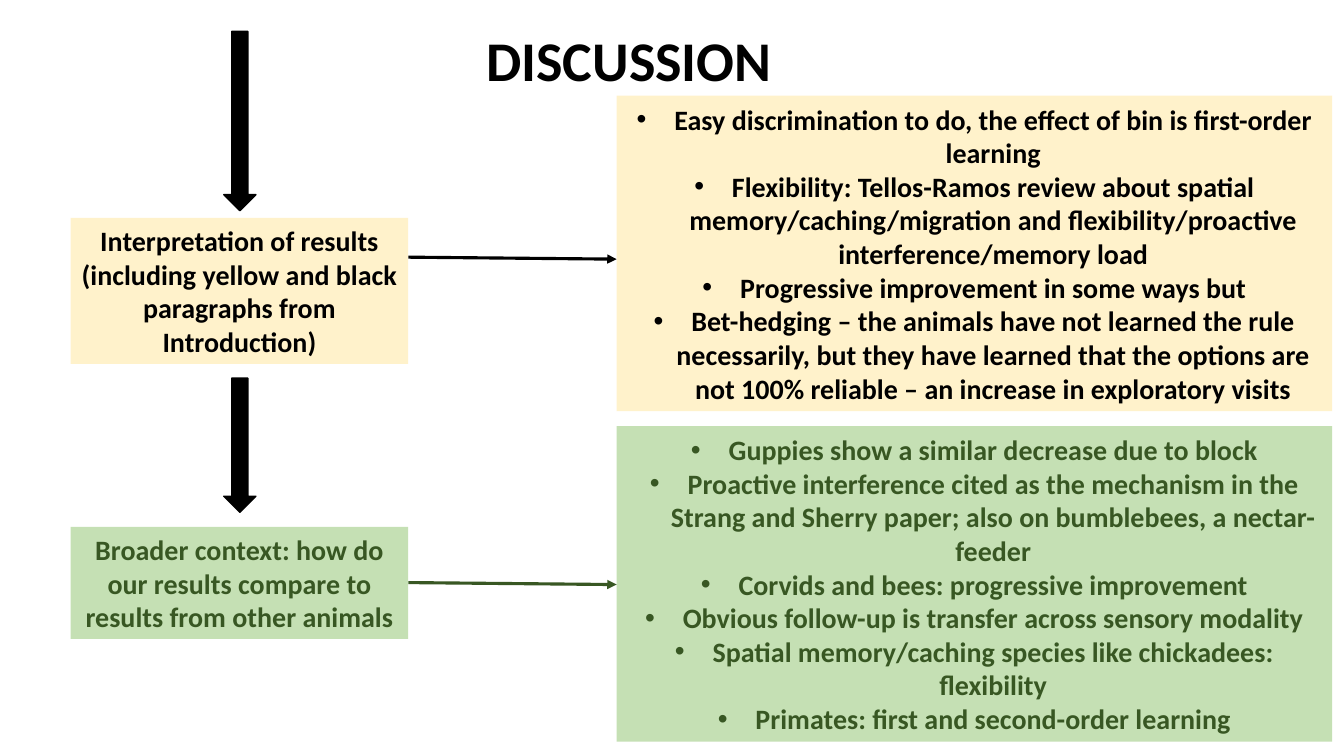
from lxml.etree import SubElement
from pptx import Presentation
from pptx.dml.color import RGBColor
from pptx.enum.shapes import MSO_CONNECTOR as Connector, MSO_SHAPE as Shape
from pptx.enum.text import MSO_ANCHOR as Anchor, PP_ALIGN as Align
from pptx.oxml.ns import qn
from pptx.util import Cm, Pt

BLACK = RGBColor(0x00, 0x00, 0x00)
YELLOW = RGBColor(0xFF, 0xE6, 0x99)
LIGHT_GREEN = RGBColor(0xC5, 0xE0, 0xB4)
DARK_GREEN = RGBColor(0x38, 0x57, 0x23)

TOPIC_LEFT, TOPIC_WIDTH = 1.78, 8.51
DETAIL_LEFT, DETAIL_WIDTH, DETAIL_HEIGHT = 15.54, 18.03, 7.95
BULLET_INDENT = 0.95

INTERPRETATION = "Interpretation of results (including yellow and black paragraphs from Introduction)"
INTERPRETATION_POINTS = [
    "Easy discrimination to do, the effect of bin is first-order learning",
    "Flexibility: Tellos-Ramos review about spatial memory/caching/migration "
    "and flexibility/proactive interference/memory load",
    "Progressive improvement in some ways but",
    "Bet-hedging – the animals have not learned the rule necessarily, but they have "
    "learned that the options are not 100% reliable – an increase in exploratory visits",
]
CONTEXT = "Broader context: how do our results compare to results from other animals"
CONTEXT_POINTS = [
    "Guppies show a similar decrease due to block",
    "Proactive interference cited as the mechanism in the Strang and Sherry paper; "
    "also on bumblebees, a nectar-feeder",
    "Corvids and bees: progressive improvement",
    "Obvious follow-up is transfer across sensory modality",
    "Spatial memory/caching species like chickadees: flexibility",
    "Primates: first and second-order learning",
]


def format_text(paragraph, size, color):
    for run in paragraph.runs:
        run.font.name = "Calibri"
        run.font.size = Pt(size)
        run.font.bold = True
        run.font.color.rgb = color


def add_bullet(paragraph):
    properties = paragraph._p.get_or_add_pPr()
    properties.set("marL", str(Cm(BULLET_INDENT)))
    properties.set("indent", str(-Cm(BULLET_INDENT)))
    SubElement(properties, qn("a:buFont"), typeface="Arial")
    SubElement(properties, qn("a:buChar"), char="•")


def add_title(slide, text):
    box = slide.shapes.add_textbox(Cm(12.01), Cm(0.53), Cm(7.77), Cm(1.96))
    box.text_frame.word_wrap = False
    box.text_frame.text = text
    format_text(box.text_frame.paragraphs[0], 40, BLACK)


def add_box(slide, left, top, width, height, texts, fill, color, alpha=100, bulleted=False):
    shape = slide.shapes.add_shape(Shape.RECTANGLE, Cm(left), Cm(top), Cm(width), Cm(height))
    shape.shadow.inherit = False
    shape.fill.solid()
    shape.fill.fore_color.rgb = fill
    if alpha < 100:
        fill_color = shape._element.spPr.find(".//" + qn("a:srgbClr"))
        SubElement(fill_color, qn("a:alpha"), val=str(alpha * 1000))
    shape.line.fill.background()

    frame = shape.text_frame
    frame.word_wrap = True
    frame.vertical_anchor = Anchor.MIDDLE
    frame.text = "\n".join(texts)
    for paragraph in frame.paragraphs:
        paragraph.alignment = Align.CENTER
        format_text(paragraph, 20, color)
        if bulleted:
            add_bullet(paragraph)


def add_down_arrow(slide, top, height):
    arrow = slide.shapes.add_shape(Shape.DOWN_ARROW, Cm(5.64), Cm(top), Cm(0.81), Cm(height))
    arrow.shadow.inherit = False
    arrow.fill.solid()
    arrow.fill.fore_color.rgb = BLACK
    arrow.line.color.rgb = BLACK
    arrow.line.width = Pt(1)


def add_link(slide, top, color):
    link = slide.shapes.add_connector(
        Connector.STRAIGHT, Cm(TOPIC_LEFT + TOPIC_WIDTH), Cm(top), Cm(DETAIL_LEFT), Cm(top + 0.05))
    link.line.color.rgb = color
    link.line.width = Pt(2.25)
    SubElement(link.line._get_or_add_ln(), qn("a:tailEnd"), type="triangle")
    SubElement(link._element.spPr, qn("a:effectLst"))


def add_section(slide, topic, topic_top, topic_height, points, points_top, link_top,
                fill, color, alpha=100):
    add_box(slide, TOPIC_LEFT, topic_top, TOPIC_WIDTH, topic_height, [topic], fill, color, alpha)
    add_box(slide, DETAIL_LEFT, points_top, DETAIL_WIDTH, DETAIL_HEIGHT, points, fill, color,
            alpha, bulleted=True)
    add_link(slide, link_top, color)


def main():
    presentation = Presentation()
    presentation.slide_width, presentation.slide_height = Cm(33.87), Cm(19.05)
    slide = presentation.slides.add_slide(presentation.slide_layouts[6])

    add_title(slide, "DISCUSSION")

    # Flow down the left side
    add_down_arrow(slide, 0.79, 4.52)
    add_down_arrow(slide, 9.53, 3.38)

    # Topics with their details
    add_section(slide, INTERPRETATION, 5.49, 3.68, INTERPRETATION_POINTS, 2.41, 6.48,
                YELLOW, BLACK, alpha=50)
    add_section(slide, CONTEXT, 13.28, 2.82, CONTEXT_POINTS, 10.74, 14.68,
                LIGHT_GREEN, DARK_GREEN)

    presentation.save("out.pptx")


if __name__ == "__main__":
    main()
